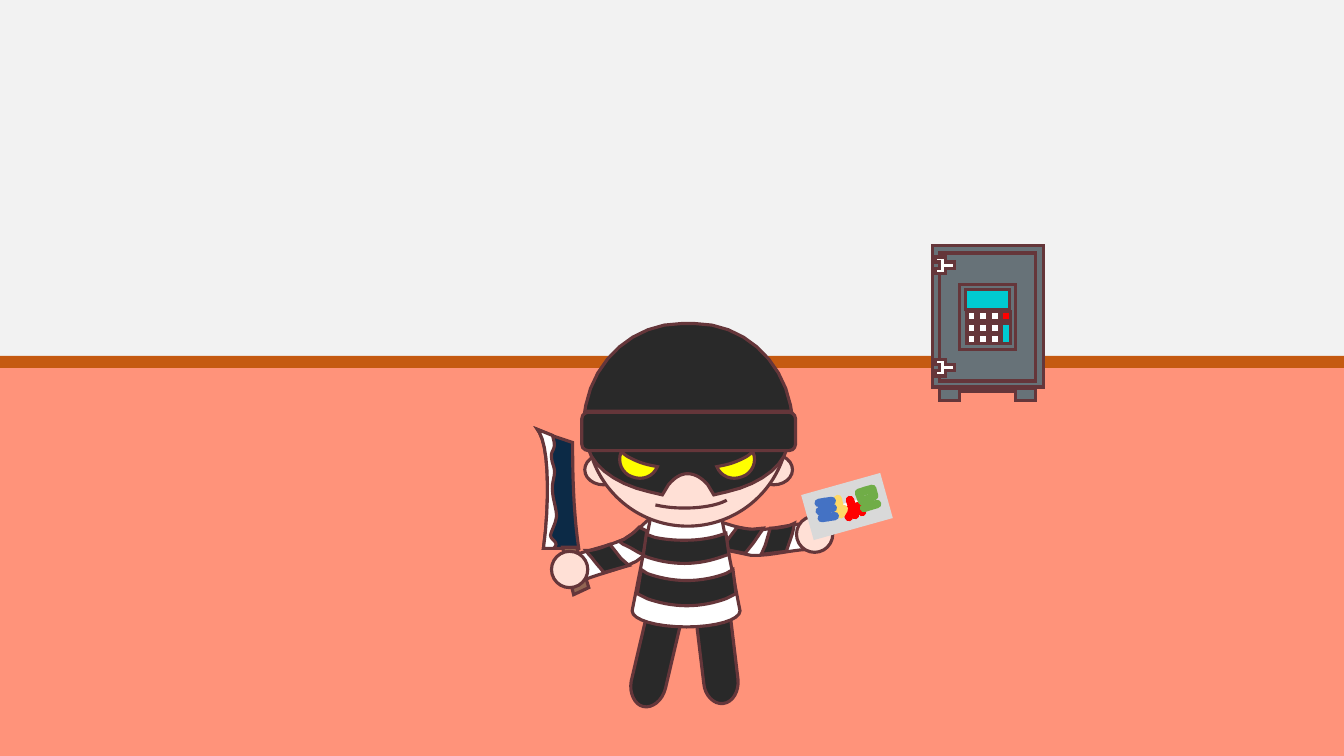
from dataclasses import dataclass
from lxml.etree import SubElement
from pptx import Presentation
from pptx.dml.color import RGBColor
from pptx.enum.shapes import MSO_CONNECTOR, MSO_SHAPE as SHAPE
from pptx.oxml.ns import qn
from pptx.util import Inches, Pt


@dataclass(frozen=True)
class Theme:
    floor: str = "FF937A"
    wall: str = "F2F2F2"
    skirting: str = "C55A11"
    outline: str = "65363A"
    steel: str = "677278"
    hinge: str = "FFFFFD"
    white: str = "FFFFFF"
    display: str = "00CAD1"
    red: str = "FF0000"
    skin: str = "FFE0D6"
    black: str = "292929"
    eye: str = "FFFF00"
    blade: str = "0C2A46"
    handle: str = "926553"
    card: str = "D9D9D9"
    yellow: str = "FFD966"
    blue: str = "4472C4"
    green: str = "70AD47"
    line_pt: float = 2.25
    stroke_pt: float = 6
    card_pt: float = 14


T = Theme()
CURVE_STEPS = 8

HINGE = ("M 9.28,2.55 L 9.38,2.55 9.38,2.6 9.47,2.6 9.47,2.66 9.38,2.66 9.38,2.71 "
         "9.28,2.71 9.28,2.66 9.32,2.66 9.32,2.6 9.28,2.6")
SAFE_FEET = "M 9.32,3.85 L 10.27,3.85 10.27,3.97 10.07,3.97 10.07,3.88 9.52,3.88 9.52,3.97 9.32,3.97"
EYE = ("M 7.11,4.63 L 7.16,4.62 C 7.21,4.61 7.25,4.6 7.3,4.58 7.35,4.56 7.39,4.54 7.42,4.52 "
       "L 7.47,4.48 7.47,4.49 C 7.51,4.58 7.46,4.7 7.36,4.73 7.26,4.77 7.15,4.73 7.11,4.63")
EYES_MIRROR = 13.63

RIGHT_SLEEVE = ("M 6.93,5.4 C 6.85,5.4 6.8,5.34 6.8,5.27 6.8,5.19 6.86,5.14 6.94,5.14 "
                "7.13,5.15 7.28,5.24 7.47,5.26 7.66,5.26 7.9,5.18 8.1,5.19 "
                "8.17,5.19 8.23,5.25 8.22,5.32 8.22,5.4 8.16,5.45 8.09,5.45 "
                "7.89,5.44 7.65,5.52 7.45,5.51")
RIGHT_STRIPES = (
    "M 7.32,5.23 C 7.37,5.24 7.42,5.25 7.47,5.25 L 7.57,5.24 7.56,5.26 "
    "C 7.53,5.3 7.5,5.35 7.47,5.39 L 7.39,5.49 7.14,5.44 7.21,5.37 C 7.24,5.32 7.28,5.28 7.31,5.23",
    "M 7.64,5.24 L 7.59,5.41 7.55,5.5 7.8,5.47 7.82,5.41 C 7.84,5.35 7.86,5.3 7.87,5.25 "
    "L 7.88,5.19 7.84,5.21 C 7.79,5.23 7.74,5.23 7.7,5.24",
)
LEFT_SLEEVE = ("M 6.74,5.25 C 6.8,5.21 6.83,5.13 6.79,5.07 6.76,5 6.68,4.98 6.62,5.01 "
               "6.45,5.11 6.36,5.25 6.19,5.35 6.01,5.43 5.76,5.47 5.59,5.55 "
               "5.53,5.59 5.5,5.67 5.53,5.73 5.57,5.8 5.65,5.82 5.71,5.79 5.89,5.7 6.13,5.66 6.31,5.57")
LEFT_STRIPES = (
    "M 6.05,5.4 L 6.16,5.54 6.24,5.61 5.99,5.68 5.95,5.63 C 5.91,5.59 5.88,5.54 5.84,5.5 "
    "L 5.81,5.46 5.86,5.46 C 5.91,5.45 5.95,5.44 6,5.42",
    "M 6.34,5.23 L 6.5,5.31 6.59,5.35 6.39,5.51 6.33,5.48 C 6.28,5.45 6.23,5.42 6.18,5.4 "
    "L 6.14,5.37 6.19,5.35 C 6.23,5.32 6.27,5.3 6.3,5.27",
)
BLADE = ("M 5.33,4.26 L 5.5,4.33 5.68,4.39 5.68,4.48 C 5.68,4.83 5.7,5.17 5.74,5.44 "
         "L 5.39,5.44 5.41,5.27 C 5.45,4.82 5.43,4.43 5.35,4.29")
BLADE_EDGE = ("M 5.33,4.26 L 5.48,4.32 5.49,4.36 C 5.52,4.46 5.46,4.47 5.47,4.53 "
              "5.47,4.59 5.5,4.63 5.5,4.68 5.5,4.74 5.47,4.8 5.48,4.87 5.48,4.94 5.52,5.05 5.52,5.12 "
              "5.51,5.2 5.47,5.26 5.46,5.31 5.46,5.36 5.56,5.38 5.49,5.44 "
              "L 5.39,5.44 5.41,5.27 C 5.45,4.82 5.43,4.43 5.35,4.29")
KNIFE_HANDLE = "M 5.58,5.43 L 5.72,5.43 5.84,5.83 5.69,5.9 C 5.65,5.75 5.62,5.58 5.58,5.43"
LEGS = (
    "M 7.22,5.91 L 6.88,5.95 6.98,6.78 C 6.99,6.9 7.08,6.99 7.17,6.98 7.27,6.97 7.33,6.86 7.32,6.74",
    "M 6.45,5.95 L 6.79,6.02 6.6,6.83 C 6.57,6.95 6.47,7.03 6.38,7.01 6.29,6.99 6.24,6.87 6.26,6.76",
)
SHIRT = ("M 6.45,5.15 L 7.16,5.15 7.34,6.06 C 7.34,6.15 7.1,6.22 6.81,6.22 "
         "6.51,6.22 6.27,6.15 6.27,6.06")
SHIRT_STRIPES = (
    "M 6.36,5.65 L 6.42,5.69 C 6.53,5.73 6.67,5.76 6.81,5.76 6.96,5.76 7.09,5.73 7.2,5.69 "
    "L 7.27,5.65 7.3,5.89 7.2,5.94 C 7.09,5.98 6.96,6.01 6.81,6.01 6.67,6.01 6.53,5.98 6.42,5.94 "
    "L 6.32,5.89",
    "M 7.2,5.29 L 7.23,5.5 7.17,5.52 C 7.06,5.56 6.93,5.59 6.79,5.59 6.64,5.59 6.51,5.56 6.4,5.52 "
    "L 6.38,5.51 6.41,5.3 6.49,5.33 C 6.58,5.35 6.68,5.36 6.79,5.36 6.93,5.36 7.06,5.34 7.17,5.3",
)
MASK = ("M 5.84,4.25 C 5.94,4.35 6.34,4.44 6.82,4.44 7.31,4.44 7.71,4.35 7.8,4.25 L 7.81,4.25 7.82,4.36 "
        "C 7.82,4.59 7.57,4.8 7.21,4.88 L 7.08,4.91 7.02,4.81 C 6.96,4.74 6.89,4.7 6.82,4.7 "
        "6.75,4.7 6.69,4.74 6.63,4.81 L 6.57,4.91 6.44,4.88 C 6.08,4.8 5.82,4.59 5.82,4.36")
CAP = ("M 6.76,3.21 L 6.89,3.21 C 7.36,3.21 7.75,3.56 7.84,4.02 L 7.85,4.08 5.8,4.08 5.81,4.02 "
       "C 5.9,3.56 6.29,3.21 6.76,3.21")
CARD_STROKES = (
    (T.red, ("8.55,5.08 8.52,5.02 8.46,5.04 8.4,5.07 8.42,5.13", "8.48,5.11 8.43,4.96")),
    (T.yellow, ("8.37,5.05 8.34,5.1 8.29,5.06", "8.34,5.1 8.31,4.95")),
    (T.blue, ("8.26,5.04 8.2,5.05 8.13,5.07", "8.28,5.12 8.21,5.13 8.15,5.14",
              "8.25,4.97 8.18,4.98 8.12,4.99", "8.21,5.13 8.18,4.98")),
    (T.green, ("8.7,5 8.63,5.02 8.57,5.04", "8.67,4.92 8.61,4.95 8.55,4.97",
               "8.65,4.85 8.58,4.87 8.52,4.89", "8.67,4.92 8.65,4.85",
               "8.55,4.97 8.52,4.89", "8.63,5.02 8.61,4.95")),
)


def point(token):
    return tuple(float(n) for n in token.split(","))


def path_points(path):
    """Turn M, L and C commands into points, with each cubic curve cut into short steps."""
    points, controls, command = [], [], "M"
    for token in path.split():
        if token in "MLC":
            command = token
        elif command != "C":
            points.append(point(token))
        else:
            controls.append(point(token))
            if len(controls) == 3:
                curve = [points[-1], *controls]
                for i in range(1, CURVE_STEPS + 1):
                    t = i / CURVE_STEPS
                    weights = ((1 - t) ** 3, 3 * t * (1 - t) ** 2, 3 * t * t * (1 - t), t ** 3)
                    points.append(tuple(sum(w * p[axis] for w, p in zip(weights, curve))
                                        for axis in (0, 1)))
                controls = []
    return points


def style(shape, fill, line=T.outline, width=T.line_pt):
    shape.shadow.inherit = False
    if fill:
        shape.fill.solid()
        shape.fill.fore_color.rgb = RGBColor.from_string(fill)
    else:
        shape.fill.background()
    if line:
        shape.line.color.rgb = RGBColor.from_string(line)
        shape.line.width = Pt(width)
        SubElement(shape.element.spPr.find(qn("a:ln")), qn("a:miter"), lim="800000")
    else:
        shape.line.fill.background()
    return shape


def add_preset(shapes, kind, box, fill, **line):
    return style(shapes.add_shape(kind, *(Inches(n) for n in box)), fill, **line)


def add_outline(shapes, path, fill, dy=0, mirror=None):
    """Draw a closed outline, moved down by dy or flipped so that x becomes mirror - x."""
    points = [(Inches(x if mirror is None else mirror - x), Inches(y + dy))
              for x, y in path_points(path)]
    builder = shapes.build_freeform(*points[0])
    builder.add_line_segments(points[1:], close=True)
    return style(builder.convert_to_shape(), fill)


def add_stroke(shapes, start, end, color):
    c = shapes.add_connector(MSO_CONNECTOR.STRAIGHT, *(Inches(n) for n in start + end))
    c.line.color.rgb = RGBColor.from_string(color)
    c.line.width = Pt(T.stroke_pt)
    c.element.spPr.find(qn("a:ln")).set("cap", "rnd")
    SubElement(c.element.spPr, qn("a:effectLst"))


def add_group(s):
    return s.shapes.add_group_shape().shapes


def draw_room(s):
    for top, height, color in ((3.63, 4.09, T.floor), (0, 3.63, T.wall), (3.53, 0.12, T.skirting)):
        add_preset(s.shapes, SHAPE.RECTANGLE, (0, top, 13.33, height), color, line=None)


def draw_safe(s):
    safe = add_group(s)
    for box in ((9.25, 2.44, 1.1, 1.4), (9.32, 2.51, 0.95, 1.27), (9.52, 2.82, 0.55, 0.65)):
        add_preset(safe, SHAPE.RECTANGLE, box, T.steel)
    key, pitch, left, top = 0.09, 0.115, 9.59, 3.09
    for col in range(3):
        for row in range(3):
            add_preset(safe, SHAPE.RECTANGLE, (left + col * pitch, top + row * pitch, key, key), T.white)
    add_preset(safe, SHAPE.RECTANGLE, (9.93, top, key, key), T.red)
    add_preset(safe, SHAPE.RECTANGLE, (9.93, top + pitch, key, 0.2), T.display)
    add_preset(safe, SHAPE.RECTANGLE, (9.58, 2.87, 0.43, 0.2), T.display)
    add_outline(safe, SAFE_FEET, T.steel)
    for dy in (0, 1.02):
        add_outline(safe, HINGE, T.hinge, dy=dy)


def draw_sleeve(arm, sleeve, stripes):
    add_outline(arm, sleeve, T.white)
    for stripe in stripes:
        add_outline(arm, stripe, T.black)


def draw_card_arm(s):
    arm, card = add_group(s), add_group(s)
    draw_sleeve(arm, RIGHT_SLEEVE, RIGHT_STRIPES)
    add_preset(arm, SHAPE.OVAL, (7.9, 5.12, 0.36, 0.36), T.skin)
    add_preset(card, SHAPE.RECTANGLE, (8.09, 4.89, 0.62, 0.27), T.white,
               line=T.card, width=T.card_pt).rotation = 164.4
    for color, chains in CARD_STROKES:
        for chain in chains:
            points = path_points(chain)
            for start, end in zip(points, points[1:]):
                add_stroke(card, start, end, color)


def draw_knife_arm(s):
    arm = add_group(s)
    draw_sleeve(arm, LEFT_SLEEVE, LEFT_STRIPES)
    for path, color in ((BLADE, T.blade), (BLADE_EDGE, T.white), (KNIFE_HANDLE, T.handle)):
        add_outline(arm, path, color)
    add_preset(arm, SHAPE.OVAL, (5.47, 5.47, 0.36, 0.36), T.skin)


def draw_body(s):
    for leg in LEGS:
        add_outline(s.shapes, leg, T.black)
    draw_sleeve(add_group(s), SHIRT, SHIRT_STRIPES)


def draw_head(s):
    head = add_group(s)
    for box in ((7.49, 4.51, 0.37, 0.3), (5.8, 4.51, 0.37, 0.3), (5.82, 3.22, 2, 2)):
        add_preset(head, SHAPE.OVAL, box, T.skin)
    smile = add_preset(head, SHAPE.ARC, (6.32, 4.75, 0.94, 0.29), None)
    smile.adjustments[0], smile.adjustments[1] = 5.42, 95.02
    add_outline(head, MASK, T.black)
    for mirror in (None, EYES_MIRROR):
        add_outline(head, EYE, T.eye, mirror=mirror)
    add_outline(head, CAP, T.black)
    add_preset(head, SHAPE.ROUNDED_RECTANGLE, (5.77, 4.09, 2.12, 0.38), T.black)


def main():
    prs = Presentation()
    prs.slide_width, prs.slide_height = Inches(13.33), Inches(7.5)
    s = prs.slides.add_slide(prs.slide_layouts[6])
    for draw in (draw_room, draw_safe, draw_card_arm, draw_knife_arm, draw_body, draw_head):
        draw(s)
    prs.save("out.pptx")


if __name__ == "__main__":
    main()
